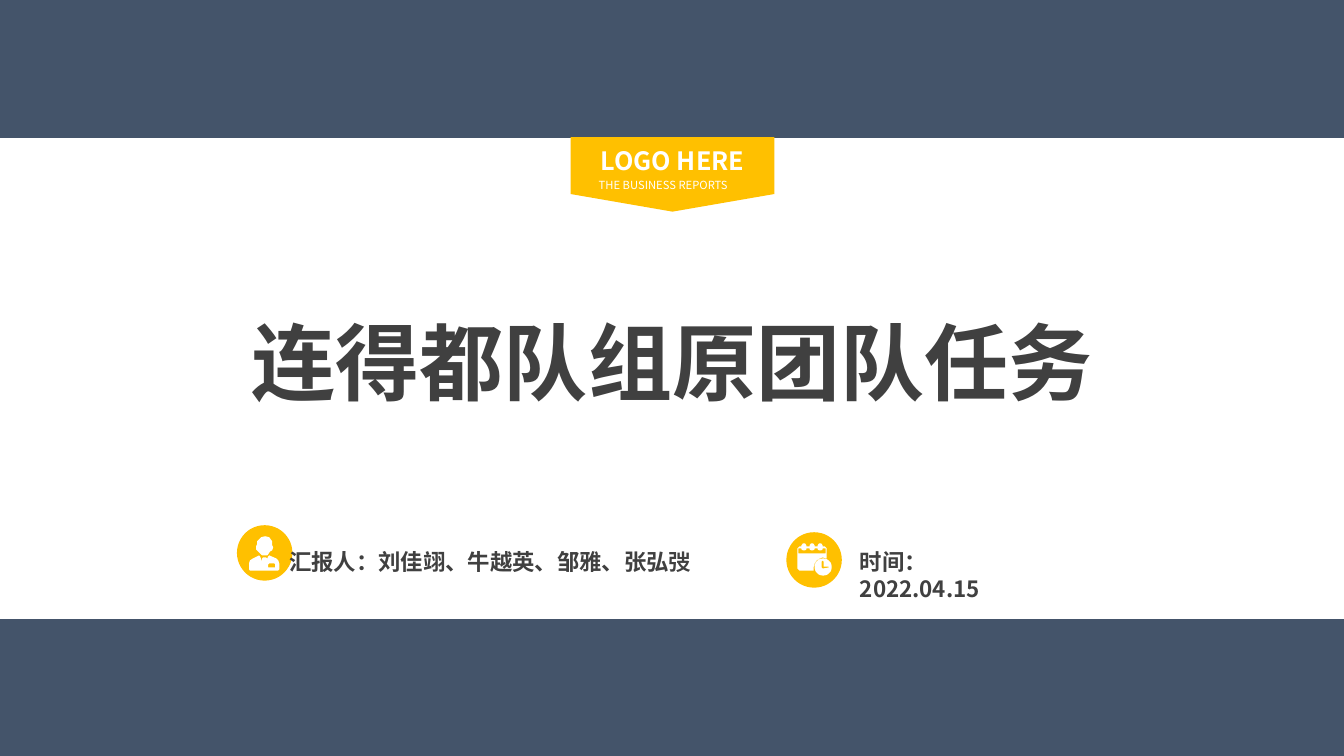
import math
from dataclasses import dataclass

from pptx import Presentation, util as u
from pptx.dml.color import RGBColor
from pptx.enum import shapes, text

SLATE = RGBColor(0x44, 0x54, 0x6A)
AMBER = RGBColor(0xFF, 0xC0, 0x00)
CHARCOAL = RGBColor(0x40, 0x40, 0x40)
WHITE = RGBColor(0xFF, 0xFF, 0xFF)
FONT = "Noto Sans CJK SC"

SLIDE_W, SLIDE_H = u.Inches(13.33), u.Inches(7.5)
BADGE = u.Inches(0.55)
BADGE_UNITS = 55  # icon contours are drawn on a 55 by 55 grid

Contour = list[tuple[float, float]]


@dataclass(frozen=True)
class Box:
    """An area in percent of the slide's width and height."""
    left: float
    top: float
    width: float
    height: float

    def emu(self) -> tuple[int, int, int, int]:
        return (round(SLIDE_W * self.left / 100), round(SLIDE_H * self.top / 100),
                round(SLIDE_W * self.width / 100), round(SLIDE_H * self.height / 100))


@dataclass(frozen=True)
class Detail:
    """A badge with its icon and the label beside it."""
    badge_left: float
    badge_top: float
    icon: list[Contour]
    label: str
    label_box: Box
    wrap: bool


def circle(x: float, y: float, radius: float, steps: int = 48) -> Contour:
    turns = [2 * math.pi * step / steps for step in range(steps)]
    return [(x + radius * math.cos(a), y + radius * math.sin(a)) for a in turns]


def person_icon() -> list[Contour]:
    head = [(28, 11), (32, 12), (35, 16), (35, 20), (36, 22), (35, 25), (33, 26),
            (31, 29), (30, 30), (25, 30), (24, 29), (21, 26), (19, 24), (19, 21),
            (20, 19), (20, 16), (23, 13), (24, 12)]
    body = [(22, 30), (23, 31), (25, 36), (25, 33), (26, 32), (29, 32), (30, 33),
            (29, 36), (31, 31), (32, 30), (39, 33), (41, 35), (42, 38), (42, 44),
            (41, 45), (13, 45), (12, 44), (12, 38), (13, 35), (16, 33)]
    name_tag = [(32, 38), (31, 39), (31, 42), (38, 42), (38, 39), (37, 38)]
    return [head, body, name_tag]


def calendar_icon() -> list[Contour]:
    ring_lefts = [15, 23, 31]
    page, header = [(13, 14)], [(12, 21), (12, 16)]
    for x in ring_lefts:
        page += [(x, 14), (x, 13), (x + 1.5, 11), (x + 3.5, 11), (x + 5, 13), (x + 5, 14)]
        header += [(x, 16), (x, 17), (x + 1.5, 18), (x + 3.5, 18), (x + 5, 17), (x + 5, 16)]
    page += [(38, 14), (40, 16), (40, 26), (36, 25), (33, 26), (30, 28), (28, 31),
             (27, 35), (27, 38), (13, 38), (11, 36), (11, 16)]
    header += [(39, 16), (39, 21)]
    hands = [(36, 28), (35, 29), (35, 35), (36, 36), (42, 35), (42, 34), (37, 34), (37, 29)]
    return [page, header, circle(36.5, 34.5, 8.5), hands]


def paint(shape, colour: RGBColor) -> None:
    shape.shadow.inherit = False
    shape.fill.solid()
    shape.fill.fore_color.rgb = colour
    shape.line.fill.background()


def write(holder, words: str, *, size: float, colour: RGBColor, bold: bool = True,
          align=text.PP_ALIGN.LEFT, anchor=text.MSO_ANCHOR.TOP,
          wrap: bool = True, right_inset: float = 0.1) -> None:
    frame = holder.text_frame
    frame.auto_size = text.MSO_AUTO_SIZE.NONE
    frame.word_wrap = wrap
    frame.vertical_anchor = anchor
    frame.margin_right = u.Inches(right_inset)
    paragraph = frame.paragraphs[0]
    paragraph.alignment = align
    run = paragraph.add_run()
    run.text = words
    run.font.size, run.font.bold, run.font.name = u.Pt(size), bold, FONT
    run.font.color.rgb = colour
    east_asian = run.font._element.makeelement(
        "{http://schemas.openxmlformats.org/drawingml/2006/main}ea", {"typeface": FONT})
    run.font._element.append(east_asian)


def draw_icon(canvas, contours: list[Contour], left: int, top: int) -> None:
    """Draw all contours as one outline; inner contours become holes."""
    fine = [[(x * 10, y * 10) for x, y in contour] for contour in contours]
    builder = canvas.build_freeform(*fine[0][0], scale=BADGE / (BADGE_UNITS * 10))
    builder.add_line_segments(fine[0][1:], close=True)
    for contour in fine[1:]:
        builder.move_to(*contour[0])
        builder.add_line_segments(contour[1:], close=True)
    paint(builder.convert_to_shape(left, top), WHITE)


def draw_detail(slide, detail: Detail) -> None:
    left, top, _, _ = Box(detail.badge_left, detail.badge_top, 0, 0).emu()
    badge = slide.shapes.add_group_shape().shapes
    paint(badge.add_shape(shapes.MSO_SHAPE.OVAL, left, top, BADGE, BADGE), AMBER)
    draw_icon(badge, detail.icon, left, top)
    label = slide.shapes.add_textbox(*detail.label_box.emu())
    write(label, detail.label, size=16, colour=CHARCOAL, wrap=detail.wrap,
          right_inset=0.3 if detail.wrap else 0.1)


def draw_banner(slide) -> None:
    banner = slide.shapes.add_group_shape().shapes
    pennant = banner.add_shape(shapes.MSO_SHAPE.PENTAGON, *Box(47.26, 9.6, 5.55, 26.93).emu())
    pennant.rotation = 90
    pennant.adjustments[0] = 0.236
    paint(pennant, AMBER)
    write(banner.add_textbox(*Box(42.99, 18.53, 14.1, 5.33).emu()), "LOGO HERE",
          size=18, colour=WHITE, align=text.PP_ALIGN.CENTER)
    write(banner.add_textbox(*Box(43.81, 22.93, 12.38, 3.2).emu()), "THE BUSINESS REPORTS",
          size=8, colour=WHITE, bold=False, align=text.PP_ALIGN.JUSTIFY)


def draw_title(slide) -> None:
    title = slide.shapes.title
    title.left, title.top, title.width, title.height = Box(16.43, 40.4, 67.14, 14.8).emu()
    write(title, "连得都队组原团队任务", size=60, colour=CHARCOAL,
          align=text.PP_ALIGN.CENTER, anchor=text.MSO_ANCHOR.MIDDLE)
    slide.shapes._spTree.append(title._element)


DETAILS = [
    Detail(17.63, 69.47, person_icon(), "汇报人：刘佳翊、牛越英、邹雅、张弘弢",
           Box(20.78, 71.87, 31.51, 4.93), wrap=False),
    Detail(58.51, 70.4, calendar_icon(), "时间：2022.04.15",
           Box(63.24, 71.87, 15.68, 4.93), wrap=True),
]


def main() -> None:
    deck = Presentation()
    deck.slide_width, deck.slide_height = SLIDE_W, SLIDE_H
    slide = deck.slides.add_slide(deck.slide_layouts.get_by_name("Title Only"))
    slide.background.fill.solid()
    slide.background.fill.fore_color.rgb = SLATE
    paint(slide.shapes.add_shape(shapes.MSO_SHAPE.RECTANGLE,
                                 *Box(0, 18.27, 100, 63.6).emu()), WHITE)
    draw_banner(slide)
    draw_title(slide)
    for detail in DETAILS:
        draw_detail(slide, detail)
    deck.save("out.pptx")


if __name__ == "__main__":
    main()
